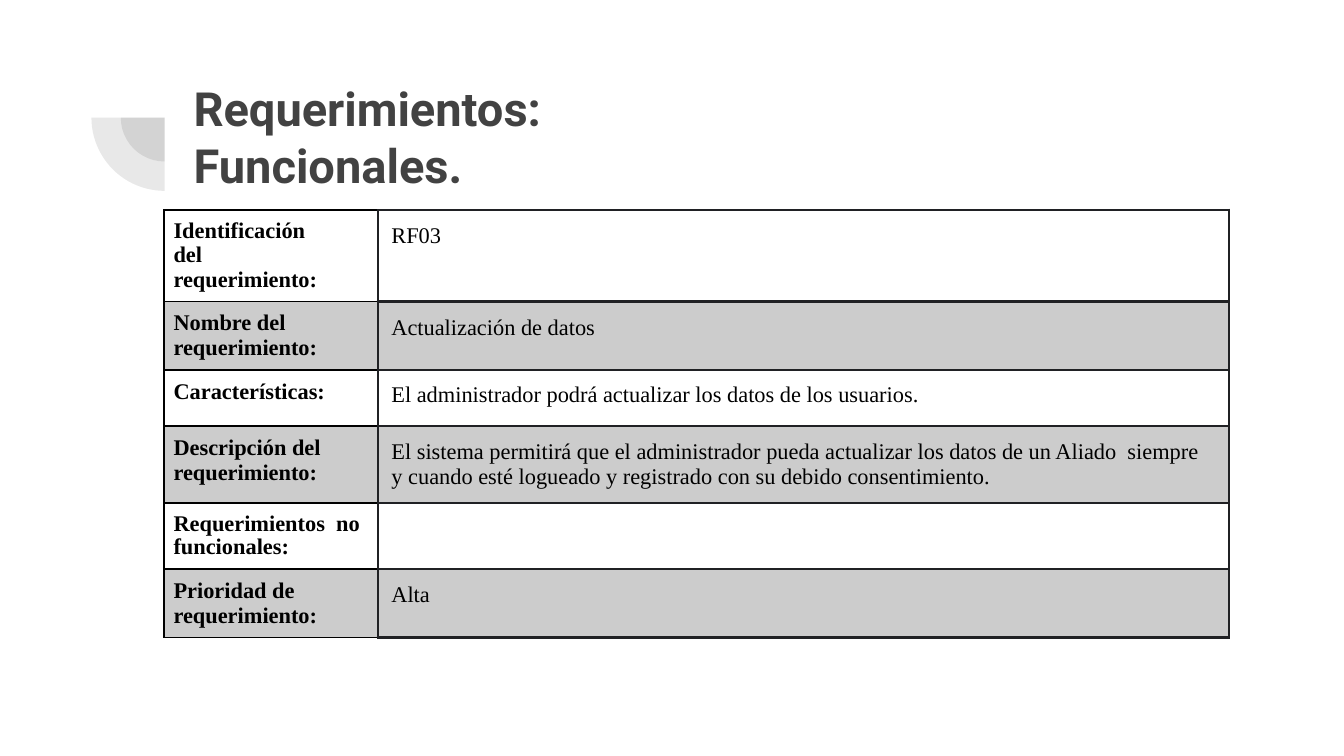
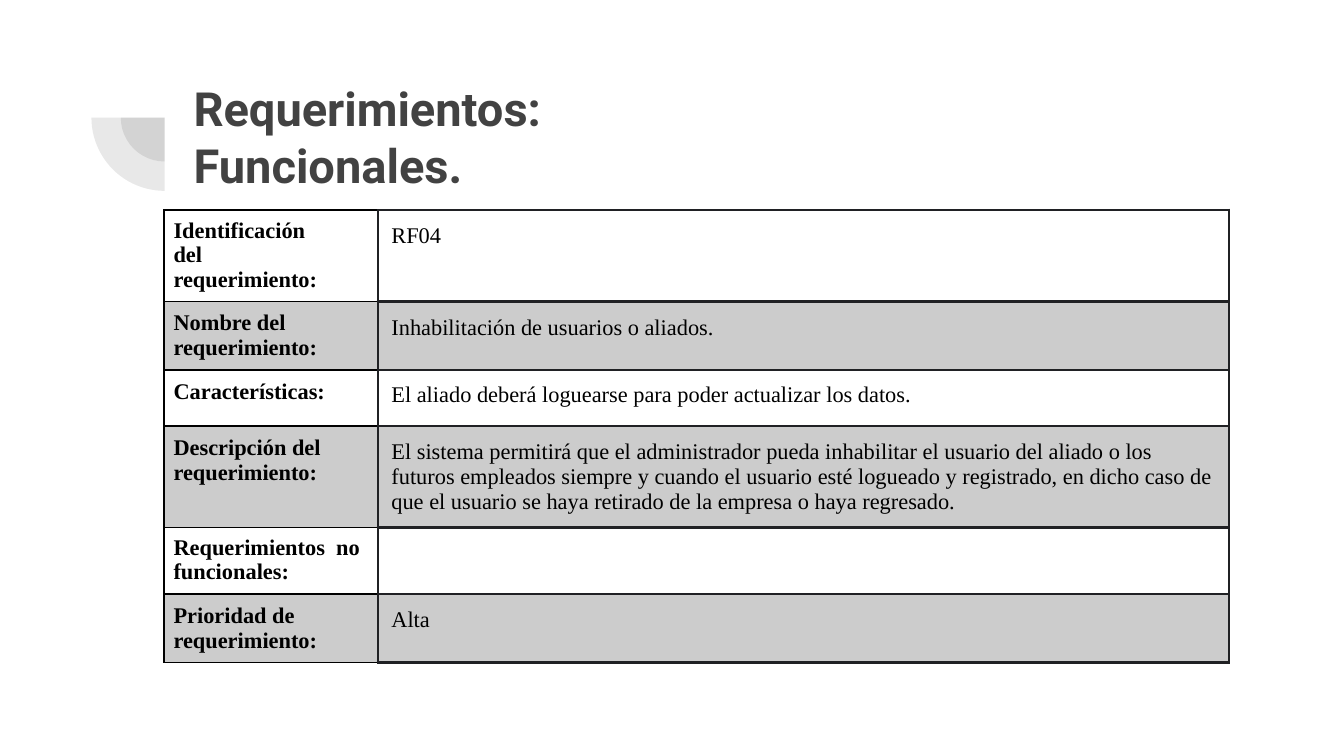
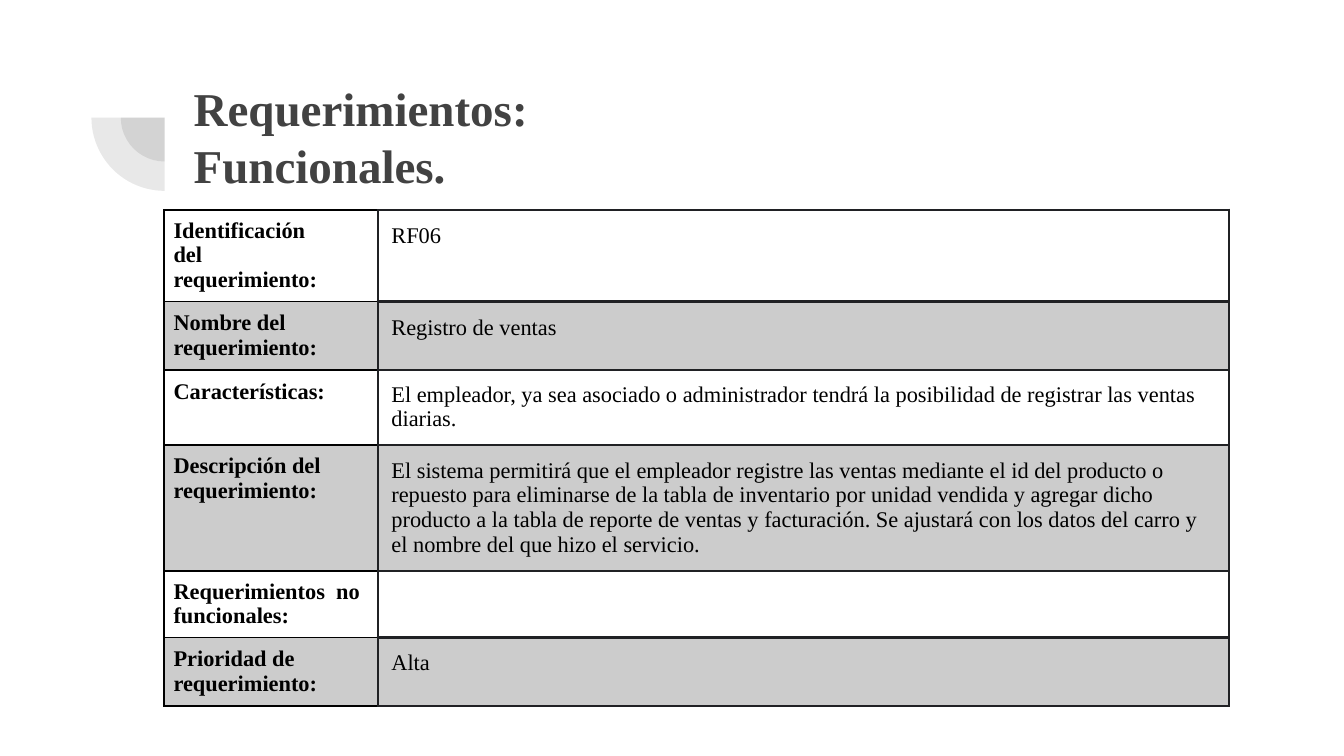
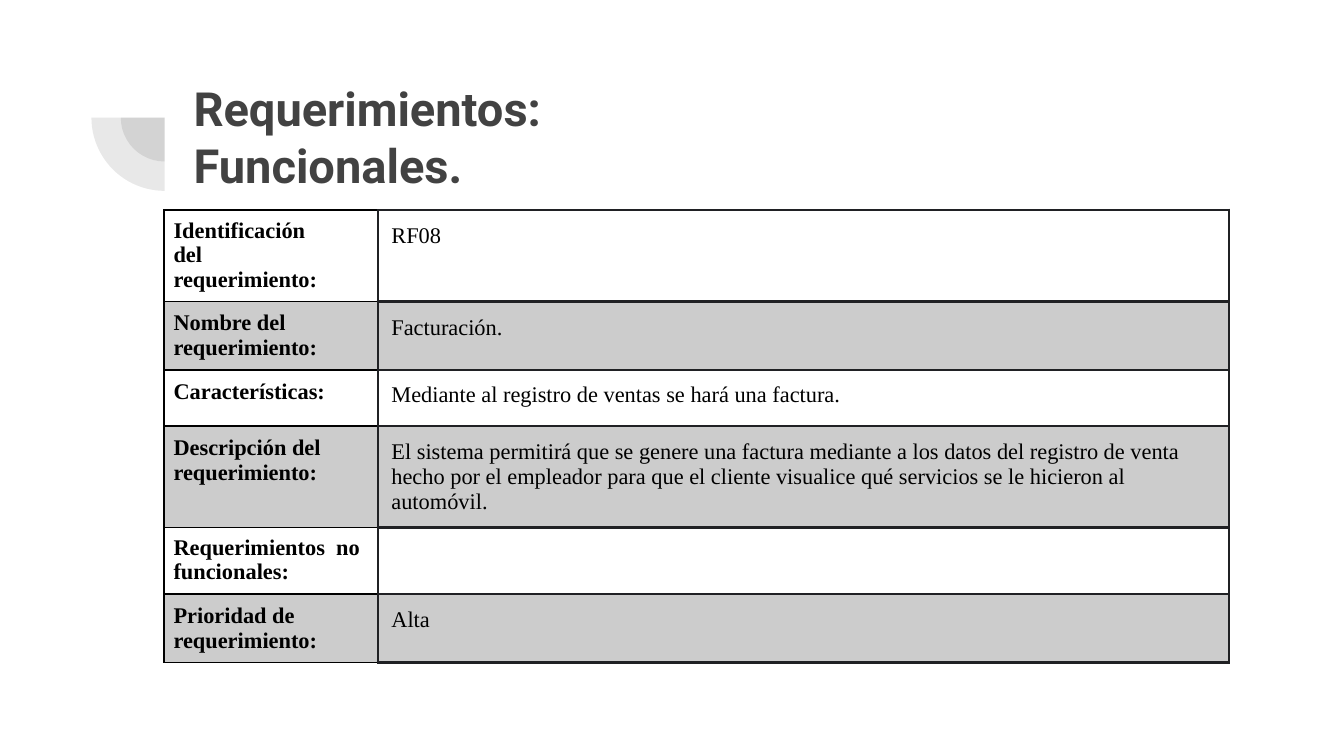
from lxml.etree import SubElement
from pptx import Presentation
from pptx.dml.color import RGBColor
from pptx.enum.shapes import MSO_SHAPE
from pptx.enum.text import MSO_ANCHOR, MSO_AUTO_SIZE, PP_ALIGN
from pptx.oxml.ns import qn
from pptx.util import Pt

BLACK = "000000"
INK = "202124"
DARK_GRAY = "424242"
BAND_GRAY = "CCCCCC"
HEADING_FONT = "Roboto"
TABLE_FONT = "Times New Roman"

TITLE = "Requerimientos:\nFuncionales."
TITLE_BOX = (96.5, 33.8, 553.7, 78.5)
ORNAMENT_CENTER = (88.25, 63)
ORNAMENT_DIAMETERS = (47, 78.5)
TABLE_ORIGIN = (88, 112.4)
COLUMN_WIDTHS = (114.5, 455.8)
ROW_HEIGHT = 30
LABEL_MARGIN = 5
VALUE_MARGIN = 7.2
TIGHT = 0.96

LABELS = [
    "Identificación  del\nrequerimiento:",
    "Nombre del\nrequerimiento:",
    "Características:",
    "Descripción del  requerimiento:",
    "Requerimientos  no funcionales:",
    "Prioridad de\nrequerimiento:",
]
TIGHT_LABEL_ROWS = (0, 4)
TIGHT_VALUE_ROWS = (2,)

REQUIREMENTS = [
    (HEADING_FONT, [
        "RF03",
        "Actualización de datos",
        "El administrador podrá actualizar los datos de los usuarios.",
        "El sistema permitirá que el administrador pueda actualizar los datos de un Aliado  "
        "siempre y cuando esté logueado y registrado con su debido consentimiento.",
        "",
        "Alta",
    ]),
    (HEADING_FONT, [
        "RF04",
        "Inhabilitación de usuarios o aliados.",
        "El aliado deberá loguearse para poder actualizar los datos.",
        "El sistema permitirá que el administrador pueda inhabilitar el usuario del aliado o los "
        "futuros empleados siempre y cuando el usuario esté logueado y registrado, en dicho caso "
        "de que el usuario se haya retirado de la empresa o haya regresado.",
        "",
        "Alta",
    ]),
    (TABLE_FONT, [
        "RF06",
        "Registro de ventas",
        "El empleador, ya sea asociado o administrador tendrá la posibilidad de registrar las "
        "ventas diarias.",
        "El sistema permitirá que el empleador registre las ventas mediante el id del producto o "
        "repuesto para eliminarse de la tabla de inventario por unidad vendida y agregar dicho "
        "producto a la tabla de reporte de ventas y facturación. Se ajustará con los datos del "
        "carro y el nombre del que hizo el servicio.",
        "",
        "Alta",
    ]),
    (HEADING_FONT, [
        "RF08",
        "Facturación.",
        "Mediante al registro de ventas se hará una factura.",
        "El sistema permitirá que se genere una factura mediante a los datos del registro de "
        "venta hecho por el empleador para que el cliente visualice qué servicios se le hicieron "
        "al automóvil.",
        "",
        "Alta",
    ]),
]


def color(hex_value):
    """Turn a hex string into a colour."""
    return RGBColor.from_string(hex_value)


def format_paragraph(paragraph, font_name, size, hex_value, bold):
    """Align a paragraph left and format its runs, also when it is empty."""
    paragraph.alignment = PP_ALIGN.LEFT
    for run in paragraph.runs or [paragraph.add_run()]:
        run.font.name = font_name
        run.font.size = Pt(size)
        run.font.bold = bold
        run.font.color.rgb = color(hex_value)


def add_ornament(slide, center, diameters):
    """Draw translucent quarter discs around one center."""
    for diameter in diameters:
        left, top = (middle - diameter / 2 for middle in center)
        quarter = slide.shapes.add_shape(
            MSO_SHAPE.PIE, Pt(left), Pt(top), Pt(diameter), Pt(diameter))
        quarter.adjustments[0] = 108
        quarter.adjustments[1] = 162
        quarter.rotation = 270
        quarter.shadow.inherit = False
        quarter.line.fill.background()
        quarter.fill.solid()
        quarter.fill.fore_color.rgb = color(DARK_GRAY)
        fill_color = quarter.element.spPr.find(qn("a:solidFill"))[0]
        SubElement(fill_color, qn("a:alpha"), val="12000")


def fill_title(slide, box, font_name):
    """Place the slide title in its box."""
    title = slide.shapes.title
    title.left, title.top, title.width, title.height = map(Pt, box)
    text_frame = title.text_frame
    text_frame.text = TITLE
    text_frame.word_wrap = True
    text_frame.auto_size = MSO_AUTO_SIZE.NONE
    text_frame.vertical_anchor = MSO_ANCHOR.MIDDLE
    text_frame.margin_left = text_frame.margin_right = Pt(7.2)
    text_frame.margin_top = text_frame.margin_bottom = Pt(7.2)
    for paragraph in text_frame.paragraphs:
        paragraph.line_spacing = Pt(30.5)
        paragraph.space_before = Pt(0)
        format_paragraph(paragraph, font_name, 25.2, DARK_GRAY, True)


def set_borders(cell, borders):
    """Draw the cell borders given as side: (colour, width)."""
    properties = cell._tc.get_or_add_tcPr()
    for side, (hex_value, width) in borders.items():
        line = SubElement(properties, qn(f"a:ln{side}"), w=str(Pt(width)))
        fill = SubElement(line, qn("a:solidFill"))
        SubElement(fill, qn("a:srgbClr"), val=hex_value)


def fill_cell(cell, text, margin, bold, tight, borders, banded):
    """Write and format one table cell."""
    cell.margin_left = cell.margin_right = Pt(margin)
    cell.margin_top = cell.margin_bottom = Pt(margin)
    cell.vertical_anchor = MSO_ANCHOR.TOP
    cell.text_frame.text = text
    for paragraph in cell.text_frame.paragraphs:
        format_paragraph(paragraph, TABLE_FONT, 12, BLACK, bold)
    if tight:
        cell.text_frame.paragraphs[0].line_spacing = TIGHT
    set_borders(cell, borders)
    if banded:
        cell.fill.solid()
        cell.fill.fore_color.rgb = color(BAND_GRAY)
    else:
        cell.fill.background()


def add_requirement_table(slide, origin, values):
    """Add the two-column table of labels and values."""
    frame = slide.shapes.add_table(
        len(LABELS), len(COLUMN_WIDTHS), Pt(origin[0]), Pt(origin[1]),
        Pt(sum(COLUMN_WIDTHS)), Pt(ROW_HEIGHT * len(LABELS)))
    table = frame.table
    table.first_row = table.horz_banding = False
    for column, width in zip(table.columns, COLUMN_WIDTHS):
        column.width = Pt(width)
    thin, thick = (BLACK, 1), (INK, 1.5)
    label_borders = {"L": thin, "R": thick, "T": thin, "B": thin}
    value_borders = dict.fromkeys("LRTB", thick)
    for row, (label, value) in enumerate(zip(LABELS, values)):
        banded = row % 2 == 1
        fill_cell(table.cell(row, 0), label, LABEL_MARGIN, True,
                  row in TIGHT_LABEL_ROWS, label_borders, banded)
        fill_cell(table.cell(row, 1), value, VALUE_MARGIN, False,
                  row in TIGHT_VALUE_ROWS, value_borders, banded)
    identifier = table.cell(0, 0)
    identifier.margin_right = Pt(24)
    identifier.text_frame.paragraphs[1].space_before = Pt(0.3)


def add_requirement_slide(presentation, title_font, values):
    """Add one slide that describes a requirement."""
    slide = presentation.slides.add_slide(presentation.slide_layouts[5])
    add_ornament(slide, ORNAMENT_CENTER, ORNAMENT_DIAMETERS)
    fill_title(slide, TITLE_BOX, title_font)
    add_requirement_table(slide, TABLE_ORIGIN, values)


def main():
    """Build and save the presentation."""
    presentation = Presentation()
    presentation.slide_width = Pt(720)
    presentation.slide_height = Pt(405)
    for title_font, values in REQUIREMENTS:
        add_requirement_slide(presentation, title_font, values)
    presentation.save("out.pptx")


if __name__ == "__main__":
    main()
